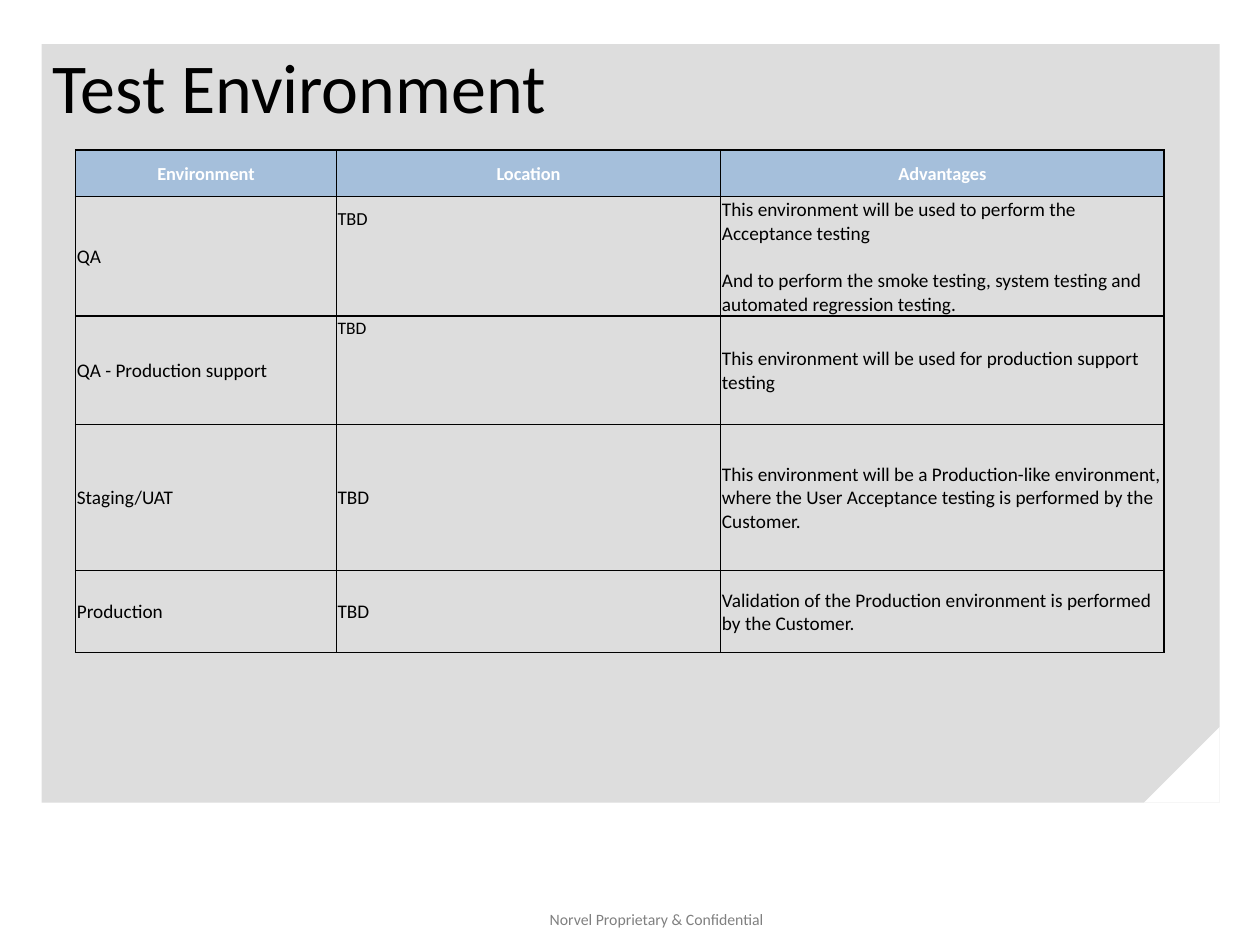
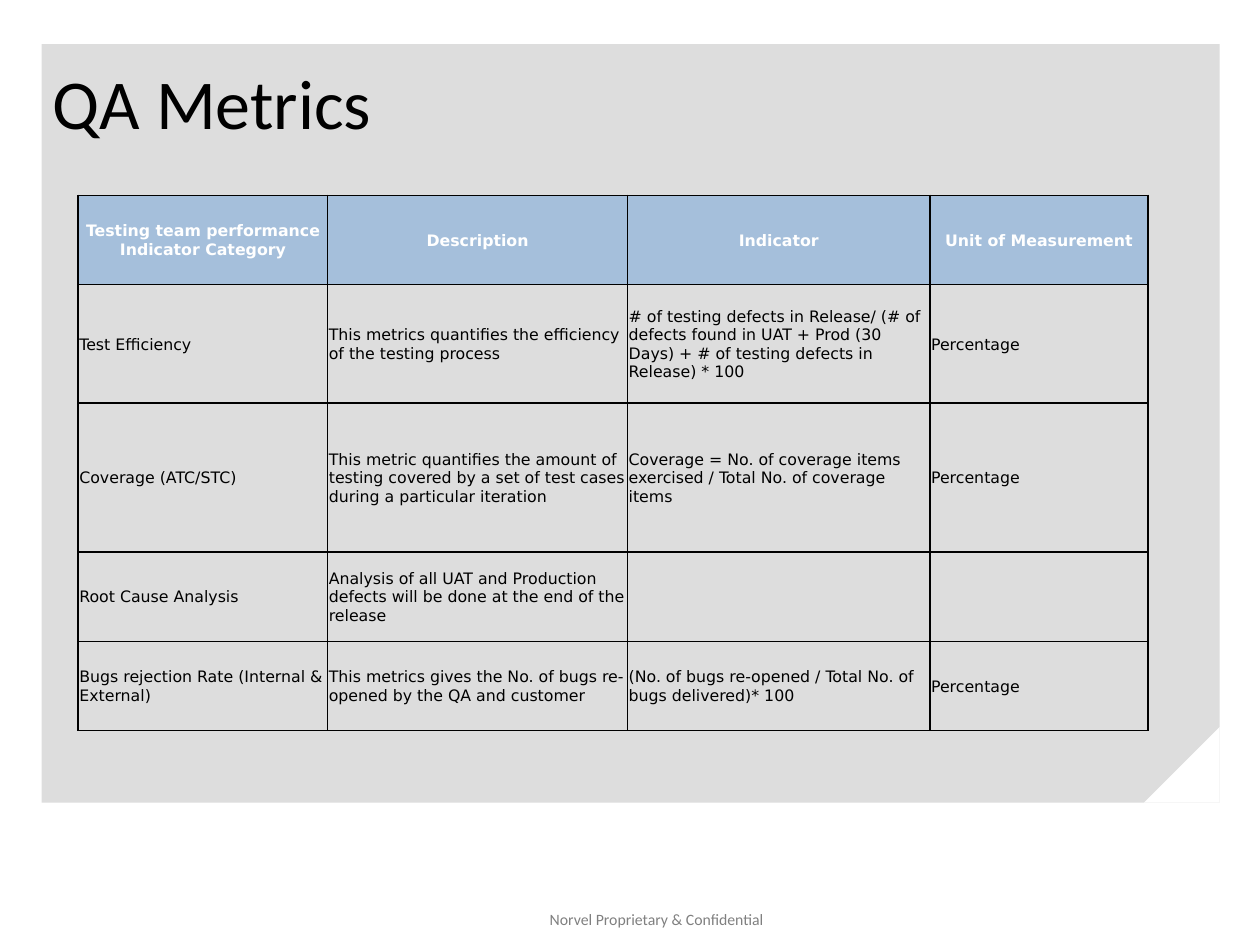
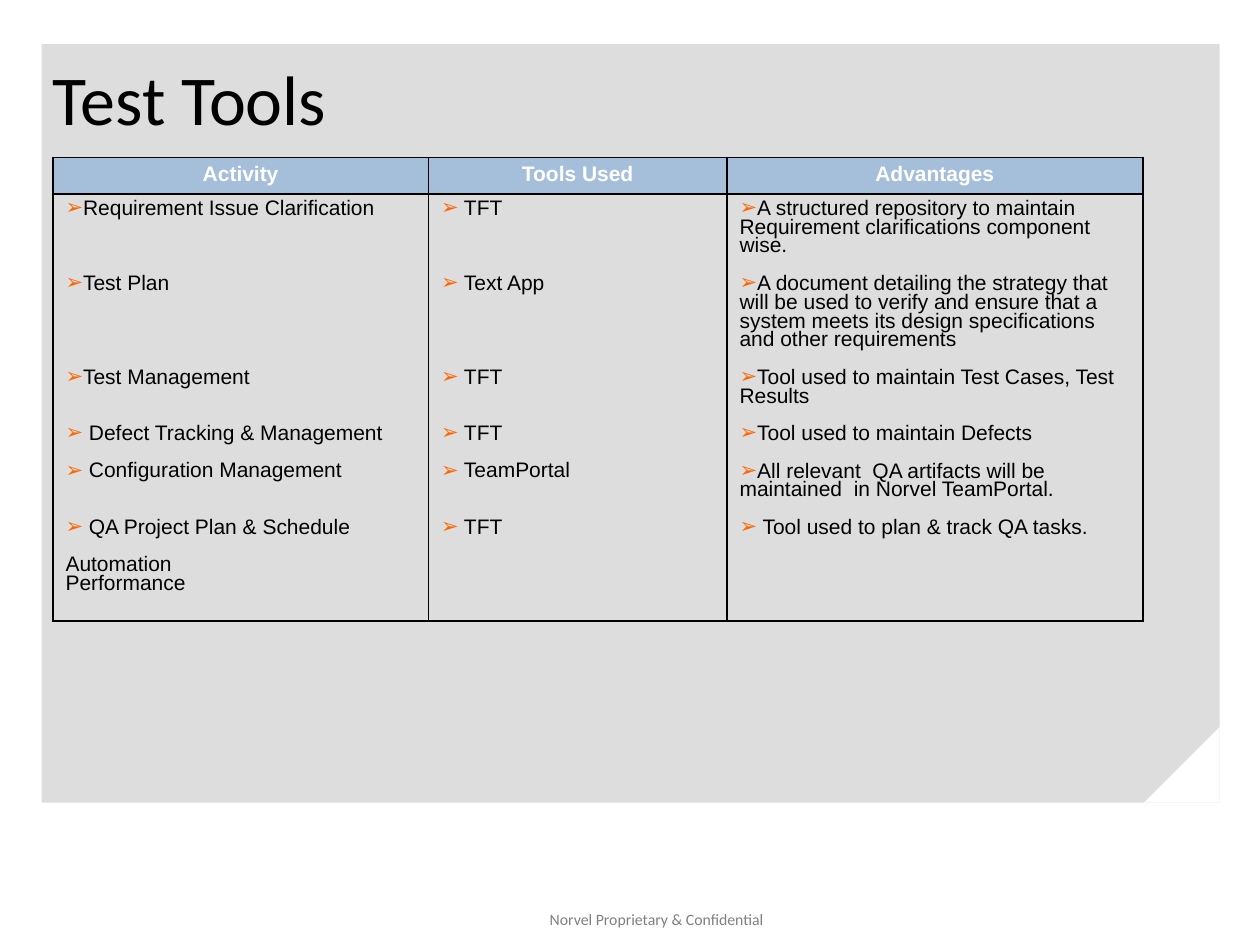
from lxml.etree import SubElement
from pptx import Presentation
from pptx.dml.color import RGBColor
from pptx.enum.shapes import MSO_SHAPE as SHAPE
from pptx.enum.text import MSO_ANCHOR as ANCHOR, PP_ALIGN as ALIGN
from pptx.oxml.ns import qn
from pptx.util import Inches, Pt

COLORS = {
    "panel": "DDDDDD", "corner": "FFFFFF", "footer": "808080", "ink": "000000",
    "header": "A5BFDB", "header_text": "FFFFFF", "bullet": "FF6600",
}
FOOTER = "Norvel Proprietary & Confidential"
BULLET = "➢"
BULLET_FONT = "DejaVu Sans"
TIGHT = (0.01, 0.01, 0.01, 0)
ROOMY = (0.1, 0.05, 0.1, 0.05)
TOOL_LINE = 10.7

ACTIVITIES = [
    ("Requirement Issue Clarification", "TFT",
     "A structured repository to maintain Requirement clarifications component wise.", 3),
    ("Test Plan", "Text App",
     "A document detailing the strategy that will be used to verify and ensure that "
     "a system meets its design specifications and other requirements", 4),
    ("Test Management", "TFT", "Tool used to maintain Test Cases, Test Results", 2),
    (" Defect Tracking & Management", "TFT", "Tool used to maintain Defects", 1),
    (" Configuration Management", "TeamPortal",
     "All relevant  QA artifacts will be maintained  in Norvel TeamPortal.", 2),
    (" QA Project Plan & Schedule", "TFT", " Tool used to plan & track QA tasks.", 1),
]
PLAIN_ACTIVITIES = ["Automation", "Performance"]


def item(text, after=0, bullet=False):
    return {"text": text, "after": after, "bullet": bullet}


activity_items = [item(name, lines * TOOL_LINE, True) for name, _, _, lines in ACTIVITIES]
activity_items += [item(name) for name in PLAIN_ACTIVITIES]
tool_items = [item(f" {tool}", lines * TOOL_LINE, True) for _, tool, _, lines in ACTIVITIES]
advantage_items = [item(text, TOOL_LINE, True) for _, _, text, _ in ACTIVITIES]

SLIDES = [
    {
        "title": "Test Environment", "title_at": (0.42, 0.33, 9, 0.7),
        "at": (0.6, 1.19), "font": "Calibri", "size": 11, "header_size": 10.5,
        "columns": [2.07, 3.05, 3.52],
        "heights": [0.37, 0.35, 0.6, 0.18, 0.68, 1.16, 0.65],
        "insets": TIGHT, "anchor": ANCHOR.MIDDLE, "spacing": 1,
        "pairs": [1, 3], "merged_columns": [0, 2], "open_column": 1,
        "sizes": {(1, 1): 10.5, (3, 1): 10},
        "rows": [
            ["Environment", "Location", "Advantages"],
            ["QA", "TBD", [
                item("This environment will be used to perform the Acceptance testing", 13.4),
                item("And to perform the smoke testing, system testing and "
                     "automated regression testing.")]],
            ["", "", ""],
            ["QA - Production support", "TBD",
             "This environment will be used for production support testing"],
            ["", "", ""],
            ["Staging/UAT", "TBD",
             "This environment will be a Production-like environment, where the User "
             "Acceptance testing is performed by the Customer."],
            ["Production", "TBD",
             "Validation of the Production environment is performed by the Customer."],
        ],
    },
    {
        "title": "QA Metrics", "title_at": (0.42, 0.33, 9, 0.95),
        "at": (0.62, 1.55), "font": "DejaVu Sans", "size": 9, "header_size": 9,
        "columns": [1.98, 2.38, 2.4, 1.73], "heights": [0.71, 0.94, 1.18, 0.71, 0.71],
        "insets": TIGHT, "anchor": ANCHOR.MIDDLE, "spacing": 1,
        "rows": [
            ["Testing team performance Indicator Category", "Description", "Indicator",
             "Unit of Measurement"],
            ["Test Efficiency", "This metrics quantifies the efficiency of the testing process",
             "# of testing defects in Release/ (# of defects found in UAT + Prod (30 Days) "
             "+ # of testing defects in Release) * 100", "Percentage"],
            ["Coverage (ATC/STC)",
             "This metric quantifies the amount of testing covered by a set of test cases "
             "during a particular iteration",
             "Coverage = No. of coverage items exercised / Total No. of coverage items",
             "Percentage"],
            ["Root Cause Analysis",
             "Analysis of all UAT and Production defects will be done at the end of the release",
             "", ""],
            ["Bugs rejection Rate (Internal & External)",
             "This metrics gives the No. of bugs re-opened by the QA and customer",
             "(No. of bugs re-opened / Total No. of bugs delivered)* 100", "Percentage"],
        ],
    },
    {
        "title": "Test Tools", "title_at": (0.42, 0.42, 9, 0.7),
        "at": (0.42, 1.25), "font": "Arial", "size": 12, "header_size": 12,
        "columns": [2.98, 2.37, 3.3], "heights": [0.29, 3.39],
        "insets": ROOMY, "anchor": ANCHOR.TOP, "spacing": 0.8,
        "rows": [
            ["Activity", "Tools Used", "Advantages"],
            [activity_items, tool_items, advantage_items],
        ],
    },
]


def color(name):
    return RGBColor.from_string(COLORS[name])


def style_font(font, ink, **values):
    for name, value in values.items():
        setattr(font, name, value)
    font.color.rgb = color(ink)


def set_insets(target, insets):
    for side, value in zip(("left", "top", "right", "bottom"), insets):
        setattr(target, f"margin_{side}", Inches(value))


def add_panel(page, kind, at, fill):
    shape = page.shapes.add_shape(kind, *map(Inches, at))
    shape.shadow.inherit = False
    shape.fill.solid()
    shape.fill.fore_color.rgb = color(fill)
    shape.line.fill.background()
    return shape


def add_label(page, at, text, size, ink, align, anchor, insets):
    frame = page.shapes.add_textbox(*map(Inches, at)).text_frame
    frame.word_wrap = True
    frame.vertical_anchor = anchor
    set_insets(frame, insets)
    para = frame.paragraphs[0]
    para.alignment = align
    span = para.add_run()
    span.text = text
    style_font(span.font, ink, name="Calibri", size=Pt(size))


def add_base(page, title, title_at):
    add_panel(page, SHAPE.RECTANGLE, (0.33, 0.35, 9.35, 6.02), "panel")
    corner = add_panel(page, SHAPE.RIGHT_TRIANGLE, (9.08, 5.77, 0.6, 0.6), "corner")
    corner.rotation = 270
    add_label(page, (3.64, 7.17, 3.14, 0.32), FOOTER, 9, "footer",
              ALIGN.CENTER, ANCHOR.TOP, ROOMY)
    add_label(page, title_at, title, 40, "ink", ALIGN.LEFT, ANCHOR.MIDDLE, (0, 0.05, 0, 0.05))


def add_solid(parent, name):
    fill = SubElement(parent, qn("a:solidFill"))
    SubElement(fill, qn("a:srgbClr"), val=COLORS[name])


def set_borders(cell, open_sides):
    properties = cell._tc.get_or_add_tcPr()
    for index, side in enumerate("LRTB"):
        line = properties.makeelement(qn(f"a:ln{side}"), {"w": str(Pt(1))})
        properties.insert(index, line)
        if side in open_sides:
            SubElement(line, qn("a:noFill"))
        else:
            add_solid(line, "ink")


def add_bullet(para):
    properties = para._p.get_or_add_pPr()
    properties.set("marL", "0")
    properties.set("indent", "0")
    bullet_color = SubElement(properties, qn("a:buClr"))
    SubElement(bullet_color, qn("a:srgbClr"), val=COLORS["bullet"])
    SubElement(properties, qn("a:buFont"), typeface=BULLET_FONT)
    SubElement(properties, qn("a:buChar"), char=BULLET)


def fill_cell(cell, content, design, is_header, size):
    set_insets(cell, design["insets"])
    cell.vertical_anchor = ANCHOR.MIDDLE if is_header else design["anchor"]
    if is_header:
        cell.fill.solid()
        cell.fill.fore_color.rgb = color("header")
    else:
        cell.fill.background()
    items = [item(content)] if isinstance(content, str) else content
    frame = cell.text_frame
    for index, entry in enumerate(items):
        para = frame.add_paragraph() if index else frame.paragraphs[0]
        para.alignment = ALIGN.CENTER if is_header else ALIGN.LEFT
        para.line_spacing = design["spacing"]
        para.space_after = Pt(entry["after"] if index < len(items) - 1 else 0)
        if entry["bullet"]:
            add_bullet(para)
        if not entry["text"]:
            para.font.size = Pt(size)
            continue
        span = para.add_run()
        span.text = entry["text"]
        style_font(span.font, "header_text" if is_header else "ink",
                   name=design["font"], size=Pt(size), bold=is_header)


def add_grid(page, design):
    rows, columns, heights = design["rows"], design["columns"], design["heights"]
    extent = (*design["at"], sum(columns), sum(heights))
    table = page.shapes.add_table(len(rows), len(columns), *map(Inches, extent)).table
    table.first_row = table.horz_banding = False
    for column, width in zip(table.columns, columns):
        column.width = Inches(width)
    for row, height in zip(table.rows, heights):
        row.height = Inches(height)
    pairs = design.get("pairs", [])
    for r, row in enumerate(rows):
        for c, content in enumerate(row):
            cell = table.cell(r, c)
            size = design["size"] if r else design["header_size"]
            size = design.get("sizes", {}).get((r, c), size)
            fill_cell(cell, content, design, r == 0, size)
            open_sides = ""
            if c == design.get("open_column"):
                open_sides = "B" if r in pairs else "T" if r - 1 in pairs else ""
            set_borders(cell, open_sides)
    for r in pairs:
        for c in design["merged_columns"]:
            table.cell(r, c).merge(table.cell(r + 1, c))


def main():
    deck = Presentation()
    deck.slide_width, deck.slide_height = Inches(10), Inches(7.5)
    for design in SLIDES:
        page = deck.slides.add_slide(deck.slide_layouts[6])
        add_base(page, design["title"], design["title_at"])
        add_grid(page, design)
    deck.save("out.pptx")


if __name__ == "__main__":
    main()
